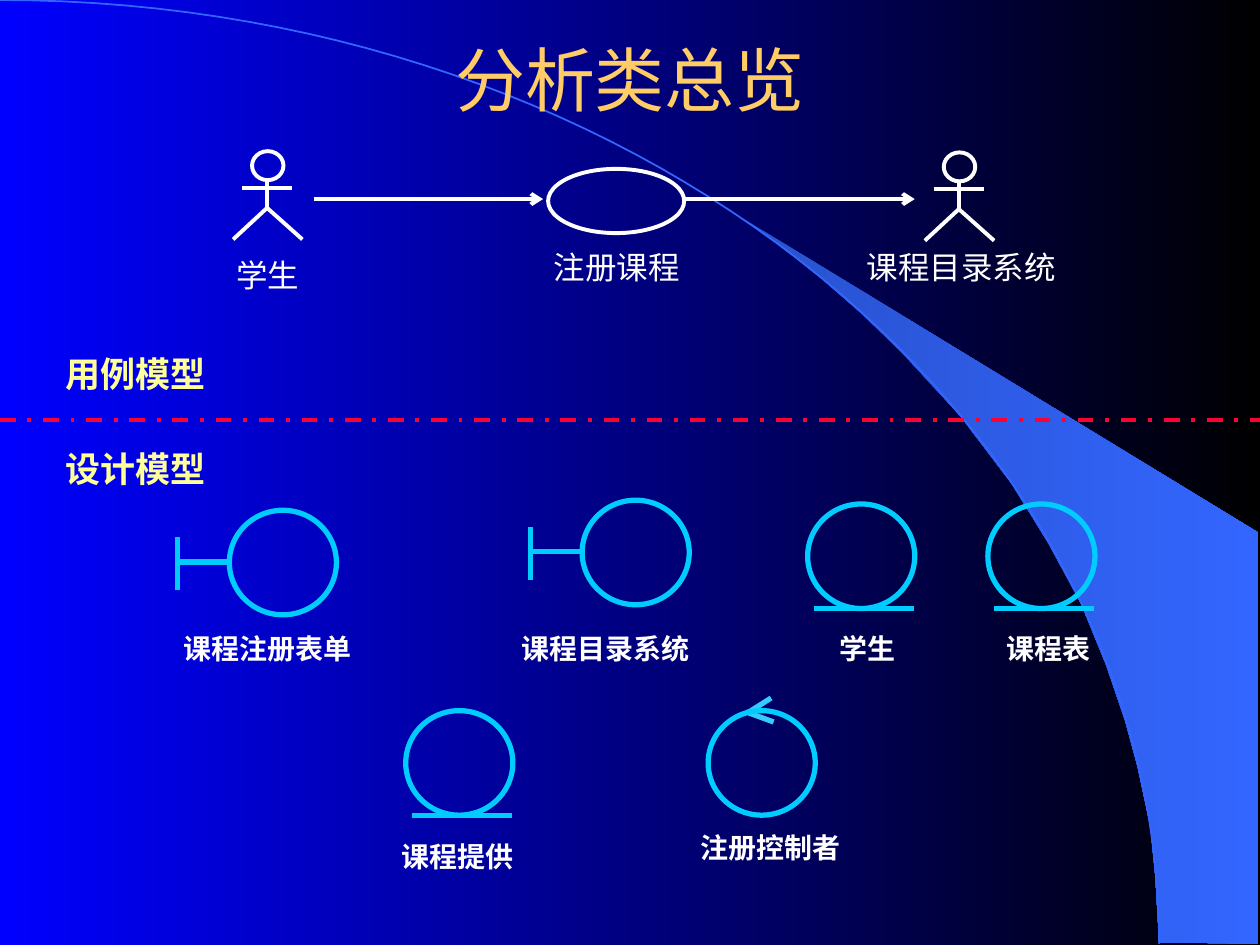
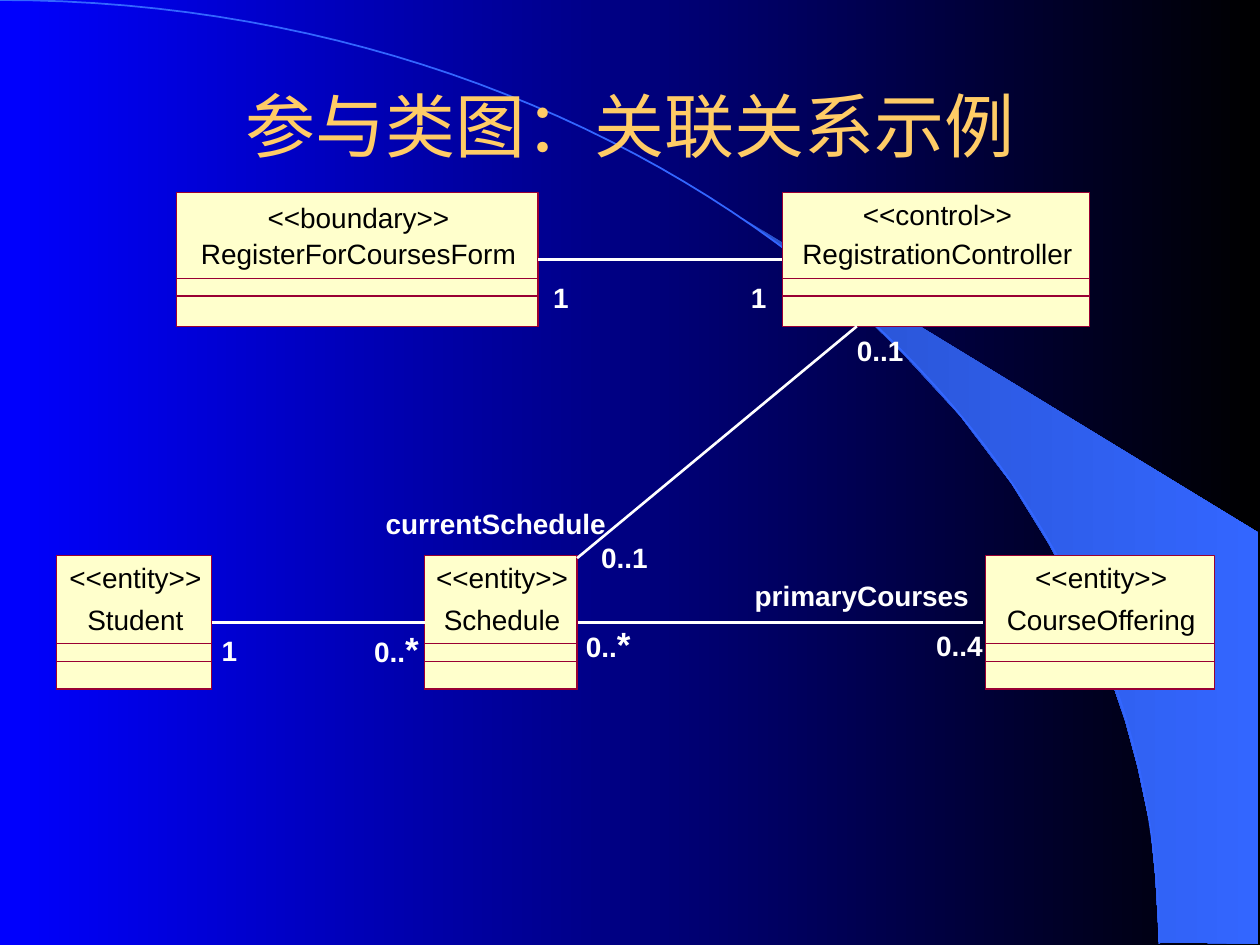
from lxml import etree
from pptx import Presentation
from pptx.dml.color import RGBColor
from pptx.enum.dml import MSO_LINE
from pptx.enum.shapes import MSO_CONNECTOR, MSO_SHAPE
from pptx.enum.text import MSO_ANCHOR, MSO_AUTO_SIZE, PP_ALIGN
from pptx.oxml.ns import qn
from pptx.util import Inches, Pt

# ---- Shared look ----
FONT = "Arial"
WHITE, BLACK, GOLD, YELLOW = "FFFFFF", "000000", "FFCC66", "FFFF99"
CYAN, LIGHT_CYAN, RED = "00CCFF", "33CCFF", "FF0033"
CREAM, MAROON, SKY = "FFFFCC", "990033", "3366FF"
BACKGROUND = ("0000FF", "000000")
BAND = ("2851CC", SKY)
BAND_POINTS = [
    (9.2, 7.48), (9.99, 7.49), (9.99, 4.23), (5.89, 1.73), (6.24, 1.99), (6.53, 2.22),
    (6.85, 2.5), (7.16, 2.8), (7.62, 3.3), (8.03, 3.84), (8.32, 4.31), (8.58, 4.79),
    (8.78, 5.28), (8.93, 5.72), (9.03, 6.09), (9.13, 6.56), (9.17, 6.96)]
ARC_CONTROLS = [(0, 0), (5.08, 0), (9.2, 3.35), (9.2, 7.49)]
SLACK = 0.04  # spare width that keeps a label on one line

# ---- Slide 1: analysis classes ----
OVERVIEW_TITLE = ("分析类总览", 0.36, 0.52)
ACTORS = [(2, 1.2), (7.49, 1.21)]
USE_CASE = (4.35, 1.34, 1.08, 0.51)
FLOWS = [(2.49, 4.31), (5.44, 7.26)]
FLOW_Y = 1.58
CAPTIONS = [  # text, left, top, width
    ("学生", 1.57, 1.98, 1.11),
    ("注册课程", 3.47, 1.92, 2.85),
    ("课程目录系统", 6.61, 1.92, 2.04)]
MODELS = [("用例模型", 2.75), ("设计模型", 3.5)]
DIVIDER_Y = 3.33
ICON_W, ICON_H = 0.85, 0.83
ICONS = [  # kind, left, top, label, label left, label top, label width
    ("boundary", 1.82, 4.05, "课程注册表单", 1.46, 5.01, 1.33),
    ("boundary", 4.62, 3.97, "课程目录系统", 4.14, 5.01, 1.33),
    ("entity", 6.41, 4, "学生", 6.66, 5.01, 0.44),
    ("entity", 7.84, 4, "课程表", 7.99, 5.01, 0.67),
    ("entity", 3.22, 5.64, "课程提供", 3.19, 6.66, 0.89),
    ("control", 5.62, 5.64, "注册控制者", 5.56, 6.59, 1.11)]
ICON_STROKES = {  # x1, y1, x2, y2 from the circle's corner
    "boundary": [(-0.41, 0.21, -0.41, 0.63), (-0.41, 0.41, 0, 0.41)],
    "entity": [(0.05, ICON_H, 0.84, ICON_H)],
    "control": [(0.5, -0.1, 0.31, 0.02), (0.52, 0.09, 0.3, 0.01)]}

# ---- Slide 2: participating classes ----
DIAGRAM_TITLE = ("参与类图：关联关系示例", 0.67, 0.64)
TOP_ROW, LOW_ROW, CLASS_H = 1.53, 4.41, 1.06
CLASSES = [  # stereotype, its width, name, its width, left, top, box width
    ("<<boundary>>", 1.44, "RegisterForCoursesForm", 2.5, 1.4, TOP_ROW, 2.87),
    ("<<control>>", 1.18, "RegistrationController", 2.14, 6.21, TOP_ROW, 2.44),
    ("<<entity>>", 1.05, "Student", 0.76, 0.45, LOW_ROW, 1.23),
    ("<<entity>>", 1.05, "Schedule", 0.93, 3.37, LOW_ROW, 1.21),
    ("<<entity>>", 1.05, "CourseOffering", 1.5, 7.82, LOW_ROW, 1.82)]
ASSOCIATIONS = [
    (4.27, 2.06, 6.21, 2.06), (6.8, 2.59, 4.58, 4.43),
    (1.68, 4.94, 3.37, 4.94), (4.59, 4.94, 7.8, 4.94)]
ROLES = [  # text, left, top, width
    ("1", 4.39, 2.23, 0.12), ("1", 5.96, 2.23, 0.12),
    ("0..1", 6.8, 2.65, 0.37), ("currentSchedule", 3.06, 4.02, 1.75),
    ("0..1", 4.77, 4.29, 0.37), ("1", 1.76, 5.03, 0.12),
    ("0..*", 2.97, 4.98, 0.36), ("0..*", 4.65, 4.94, 0.36),
    ("primaryCourses", 5.99, 4.59, 1.7), ("0..4", 7.43, 4.99, 0.37)]


# ---- Helpers ----
def rgb(color):
    return RGBColor.from_string(color)


def set_gradient(fill, colors):
    fill.gradient()
    fill.gradient_angle = 0
    for stop, color, position in zip(fill.gradient_stops, colors, (0, 1)):
        stop.color.rgb = rgb(color)
        stop.position = position


def set_line(line, color, width):
    line.color.rgb = rgb(color)
    line.width = Pt(width)


def style_shape(sp, color, width, fill=None):
    sp.shadow.inherit = False
    if fill:
        sp.fill.solid()
        sp.fill.fore_color.rgb = rgb(fill)
    else:
        sp.fill.background()
    set_line(sp.line, color, width)
    return sp


def add_shape(s, kind, box, color, width, fill=None):
    sp = s.shapes.add_shape(kind, *map(Inches, box))
    return style_shape(sp, color, width, fill)


def add_path(s, points, close=False):
    points = [(Inches(x), Inches(y)) for x, y in points]
    builder = s.shapes.build_freeform(*points[0])
    builder.add_line_segments(points[1:], close=close)
    return builder.convert_to_shape()


def add_line(s, ends, color, width, dash=None, arrow=False):
    cn = s.shapes.add_connector(MSO_CONNECTOR.STRAIGHT, *map(Inches, ends))
    set_line(cn.line, color, width)
    if dash:
        cn.line.dash_style = dash
    props = cn.element.spPr
    if arrow:
        etree.SubElement(props.find(qn("a:ln")), qn("a:tailEnd"), type="arrow")
    etree.SubElement(props, qn("a:effectLst"))


def add_run(p, text, size, color, bold=False):
    r = p.add_run()
    r.text = text
    for name, value in dict(name=FONT, size=Pt(size), bold=bold).items():
        setattr(r.font, name, value)
    r.font.color.rgb = rgb(color)


def add_text(s, text, box, size, color, bold=False, align=PP_ALIGN.LEFT, inset=False):
    tf = s.shapes.add_textbox(*map(Inches, box)).text_frame
    tf.word_wrap = inset
    tf.auto_size = MSO_AUTO_SIZE.SHAPE_TO_FIT_TEXT
    if not inset:
        for side in ("left", "right", "top", "bottom"):
            setattr(tf, f"margin_{side}", 0)
    p = tf.paragraphs[0]
    p.alignment = align
    many = text.endswith("*")
    add_run(p, text[:-1] if many else text, size, color, bold)
    if many:
        add_run(p, "*", 20, color, bold)


def add_label(s, text, x, y, w):
    h = 0.33 if text.endswith("*") else 0.27
    add_text(s, text, (x, y, w + SLACK, h), 16, WHITE, bold=True)


def add_slide(prs, layout, title):
    text, top, height = title
    s = prs.slides.add_slide(layout)
    sp = s.shapes.title
    place = dict(left=0.75, top=top, width=8.5, height=height)
    for name, value in place.items():
        setattr(sp, name, Inches(value))
    tf = sp.text_frame
    tf.auto_size = MSO_AUTO_SIZE.NONE
    tf.vertical_anchor = MSO_ANCHOR.MIDDLE
    p = tf.paragraphs[0]
    p.alignment = PP_ALIGN.CENTER
    add_run(p, text, 40, GOLD)
    return s


def bezier(controls, steps=60):
    for i in range(steps + 1):
        t = i / steps
        weights = ((1 - t) ** 3, 3 * t * (1 - t) ** 2, 3 * t * t * (1 - t), t ** 3)
        yield tuple(sum(w * c[axis] for w, c in zip(weights, controls)) for axis in (0, 1))


def decorate_layout(layout, s):
    """Draw the band and arc on a slide, then move them to its layout."""
    set_gradient(layout.background.fill, BACKGROUND)
    band = add_path(s, BAND_POINTS, close=True)
    band.shadow.inherit = False
    set_gradient(band.fill, BAND)
    band.line.fill.background()
    arc = style_shape(add_path(s, bezier(ARC_CONTROLS)), SKY, 1)
    for sp in (arc, band):
        layout.element.cSld.spTree.insert(2, sp.element)


# ---- Diagram parts ----
def add_actor(s, x, y):
    pen = (WHITE, 2.25)
    add_shape(s, MSO_SHAPE.OVAL, (x, y, 0.25, 0.23), *pen)
    add_line(s, (x + 0.12, y + 0.23, x + 0.12, y + 0.45), *pen)
    add_line(s, (x - 0.08, y + 0.29, x + 0.32, y + 0.29), *pen)
    legs = [(x - 0.15, y + 0.7), (x + 0.12, y + 0.45), (x + 0.4, y + 0.7)]
    style_shape(add_path(s, legs), *pen)


def add_icon(s, kind, x, y):
    color = LIGHT_CYAN if kind == "control" else CYAN
    for x1, y1, x2, y2 in ICON_STROKES[kind]:
        add_line(s, (x + x1, y + y1, x + x2, y + y2), color, 3)
    add_shape(s, MSO_SHAPE.OVAL, (x, y, ICON_W, ICON_H), CYAN, 3)


def add_class(s, stereotype, stereo_w, name, name_w, x, y, w):
    head = 0.68 if y == TOP_ROW else 0.7
    for offset, fill in ((0, CREAM), (head, None), (head + 0.14, None)):
        box = (x, y + offset, w, CLASS_H - offset)
        add_shape(s, MSO_SHAPE.RECTANGLE, box, MAROON, 0, fill)
    stereo_y = 0.06 if stereotype == "<<boundary>>" else 0.04
    for text, text_w, offset in ((stereotype, stereo_w, stereo_y), (name, name_w, head - 0.33)):
        text_w += SLACK
        box = (x + (w - text_w) / 2 + 0.01, y + offset, text_w, 0.27)
        add_text(s, text, box, 16, BLACK, align=PP_ALIGN.CENTER)


def add_association(s, x1, y1, x2, y2):
    """Two halves that run from the middle to each class."""
    middle = ((x1 + x2) / 2, (y1 + y2) / 2)
    for end in ((x1, y1), (x2, y2)):
        add_line(s, middle + end, WHITE, 1.5)


# ---- Slides ----
def build_overview(s):
    for x1, x2 in FLOWS:
        add_line(s, (x1, FLOW_Y, x2, FLOW_Y), WHITE, 2.25, arrow=True)
    for actor in ACTORS:
        add_actor(s, *actor)
    add_shape(s, MSO_SHAPE.OVAL, USE_CASE, WHITE, 2.25)
    for text, x, y, w in CAPTIONS:
        add_text(s, text, (x, y, w, 0.4), 18, WHITE, align=PP_ALIGN.CENTER, inset=True)
    add_line(s, (0, DIVIDER_Y, 10, DIVIDER_Y), RED, 2.25, dash=MSO_LINE.DASH_DOT)
    for text, y in MODELS:
        add_text(s, text, (0.42, y, 2.75, 0.44), 20, YELLOW, bold=True, inset=True)
    for kind, x, y, *label in ICONS:
        add_icon(s, kind, x, y)
        add_label(s, *label)


def build_diagram(s):
    for item in CLASSES:
        add_class(s, *item)
    for ends in ASSOCIATIONS:
        add_association(s, *ends)
    for role in ROLES:
        add_label(s, *role)


def main():
    prs = Presentation()
    prs.slide_width, prs.slide_height = Inches(10), Inches(7.5)
    layout = prs.slide_layouts.get_by_name("Title Only")
    overview = add_slide(prs, layout, OVERVIEW_TITLE)
    decorate_layout(layout, overview)
    build_overview(overview)
    build_diagram(add_slide(prs, layout, DIAGRAM_TITLE))
    prs.save("out.pptx")


if __name__ == "__main__":
    main()
